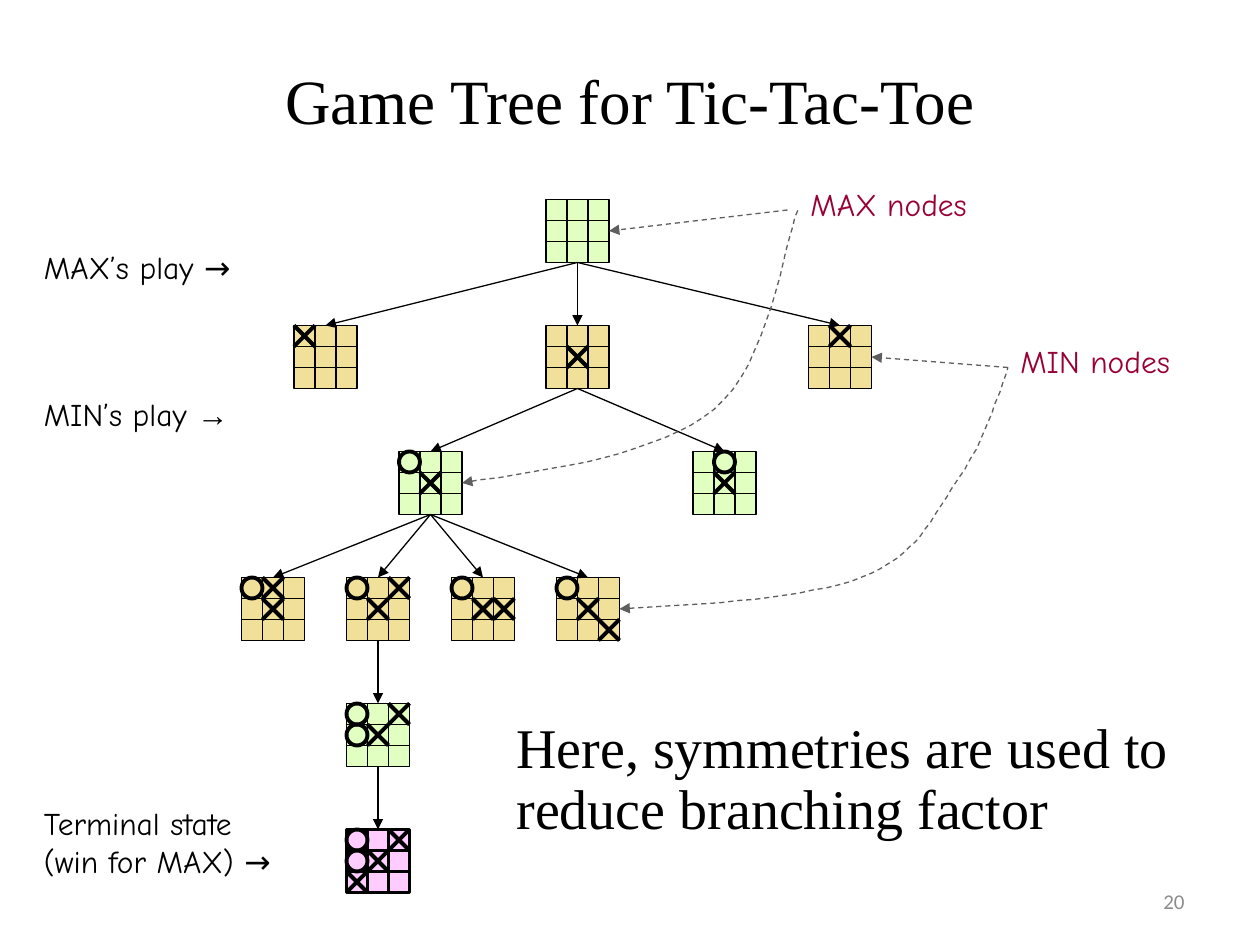
from dataclasses import dataclass

from lxml.etree import SubElement
from pptx import Presentation
from pptx.dml.color import RGBColor
from pptx.enum.dml import MSO_LINE
from pptx.enum.shapes import MSO_CONNECTOR, MSO_SHAPE
from pptx.enum.text import MSO_ANCHOR, MSO_AUTO_SIZE, PP_ALIGN
from pptx.oxml.ns import qn
from pptx.util import Pt

PX = 7620
CELL = 20
SIDE = 3 * CELL


@dataclass(frozen=True)
class Theme:
    """Colours, fonts and sizes of the slide."""
    ink: str = "000000"
    max: str = "E0FFC1"
    min: str = "F0E09A"
    win: str = "FFCCFF"
    tag: str = "990033"
    dash: str = "5F5F5F"
    page: str = "8C8C8C"
    serif: str = "Times New Roman"
    hand: str = "Comic Neue"
    sans: str = "Calibri"
    arrow: str = "Arial"
    head: int = 36
    note: int = 32
    label: int = 18
    foot: int = 12
    thin: float = 0.75
    mid: float = 1.5
    bold: float = 2.25


T = Theme()

BOARDS = {
    "won": (330, 790, "win", "O.XOX.X.."),
    "root": (520, 190, "max", "........."),
    "corner": (280, 310, "min", "X........"),
    "edge": (770, 310, "min", ".X......."),
    "centre": (520, 310, "min", "....X...."),
    "left": (380, 430, "max", "O...X...."),
    "right": (660, 430, "max", ".O..X...."),
    "top": (230, 550, "min", "OX..X...."),
    "far": (330, 550, "min", "O.X.X...."),
    "low": (530, 550, "min", "O...X...X"),
    "side": (430, 550, "min", "O...XX..."),
    "reply": (330, 670, "max", "O.XOX...."),
}

MOVES = {
    "root": ("corner", "centre", "edge"),
    "centre": ("left", "right"),
    "left": ("far", "top", "side", "low"),
    "far": ("reply",),
    "reply": ("won",),
}

MIN_PATH = [(590, 580), (678, 575), (767, 570), (820, 550), (874, 530), (887, 493),
            (910, 460), (934, 427), (947, 389), (960, 350)]
MAX_PATH = [(440, 460), (533, 446), (626, 433), (680, 390), (733, 347), (746, 232),
            (760, 200)]


def apply(item, **form):
    """Set each format value on an object."""
    for name, value in form.items():
        setattr(item, name, value)


def emu(*sizes):
    """Turn px lengths into EMU."""
    return [size * PX for size in sizes]


def pen(shape, width=T.thin, tint=T.ink, dash=None, end=None):
    """Draw the outline of a shape, with an arrowhead at one end if named."""
    shape.line.color.rgb = RGBColor.from_string(tint)
    apply(shape.line, width=Pt(width), dash_style=dash)
    frame = shape._element.spPr
    if end:
        SubElement(frame.get_or_add_ln(), qn(f"a:{end}"), type="triangle")
    SubElement(frame, qn("a:effectLst"))


def link(shapes, start, stop, **form):
    """Add a straight line between two points."""
    line = shapes.add_connector(MSO_CONNECTOR.STRAIGHT, *emu(*start, *stop))
    pen(line, **form)


def block(shapes, kind, box, fill, width):
    """Add an outlined preset shape, hollow when there is no fill."""
    shape = shapes.add_shape(kind, *emu(*box))
    pen(shape, width)
    if fill:
        shape.fill.solid()
        shape.fill.fore_color.rgb = RGBColor.from_string(fill)
    else:
        shape.fill.background()


def board(slide, x, y, kind, marks):
    """Draw one position of the game in its square."""
    shapes = slide.shapes.add_group_shape().shapes
    tint = getattr(T, kind)
    width = T.mid if kind == "win" else T.thin
    block(shapes, MSO_SHAPE.RECTANGLE, (x, y, SIDE, SIDE), tint, width)
    for step in (CELL, 2 * CELL):
        link(shapes, (x, y + step), (x + SIDE, y + step), width=width)
        link(shapes, (x + step, y), (x + step, y + SIDE), width=width)
    for spot, mark in enumerate(marks):
        a, b = x + spot % 3 * CELL, y + spot // 3 * CELL
        if mark == "X":
            link(shapes, (a, b), (a + CELL, b + CELL), width=T.bold)
            link(shapes, (a, b + CELL), (a + CELL, b), width=T.bold)
        elif mark == "O":
            fill = None if kind == "max" else tint
            block(shapes, MSO_SHAPE.OVAL, (a, b, CELL, CELL), fill, T.bold)


def tree(slide):
    """Draw all boards and the moves between them."""
    for spec_row in BOARDS.values():
        board(slide, *spec_row)
    for start, stops in MOVES.items():
        x, y = BOARDS[start][:2]
        for stop in stops:
            a, b = BOARDS[stop][:2]
            link(slide.shapes, (x + SIDE // 2, y + SIDE), (a + SIDE // 2, b), end="tailEnd")


def curve(slide, dots):
    """Draw a dashed Bezier path with an arrowhead at its start."""
    steps = 16
    trail = []
    for at in range(0, len(dots) - 1, 3):
        for step in range(1, steps + 1):
            t = step / steps
            rates = ((1 - t) ** 3, 3 * t * (1 - t) ** 2, 3 * t * t * (1 - t), t ** 3)
            trail.append([sum(rate * dot[axis] for rate, dot in zip(rates, dots[at:at + 4]))
                          for axis in (0, 1)])
    path = slide.shapes.build_freeform(*dots[0], scale=PX)
    path.add_line_segments(trail, close=False)
    shape = path.convert_to_shape()
    shape.fill.background()
    pen(shape, tint=T.dash, dash=MSO_LINE.DASH, end="headEnd")


def write(frame, parts, size, tint=T.ink, align=None, space=None):
    """Fill a frame with one paragraph of text and font pairs."""
    para = frame.paragraphs[0]
    apply(para, text="", alignment=align, line_spacing=space)
    for words, face in parts:
        first, *rest = words.split("\n")
        runs = [(first, False)] + [(piece, True) for piece in rest]
        for piece, fresh in runs:
            if fresh:
                para.add_line_break()
            run = para.add_run()
            run.text = piece
            apply(run.font, name=face, size=Pt(size))
            run.font.color.rgb = RGBColor.from_string(tint)


def label(slide, box, parts, size=T.label, wrap=False, anchor=MSO_ANCHOR.TOP, **form):
    """Add a text box."""
    frame = slide.shapes.add_textbox(*emu(*box)).text_frame
    apply(frame, word_wrap=wrap, vertical_anchor=anchor,
          auto_size=MSO_AUTO_SIZE.NONE if wrap else MSO_AUTO_SIZE.SHAPE_TO_FIT_TEXT)
    write(frame, parts, size, **form)


def title(slide, box, words):
    """Place and fill the title."""
    shape = slide.shapes.title
    apply(shape, **dict(zip(("left", "top", "width", "height"), emu(*box))))
    apply(shape.text_frame, vertical_anchor=MSO_ANCHOR.MIDDLE, auto_size=MSO_AUTO_SIZE.NONE)
    write(shape.text_frame, [(words, T.serif)], T.head, align=PP_ALIGN.CENTER)


def legend(slide, box, words, path, start, stop):
    """Name a kind of node and point at two examples."""
    label(slide, box, [(words, T.hand)], tint=T.tag)
    curve(slide, path)
    link(slide.shapes, start, stop, tint=T.dash, dash=MSO_LINE.DASH, end="tailEnd")


def main():
    """Build and save the slide."""
    deck = Presentation()
    apply(deck, slide_width=1200 * PX, slide_height=900 * PX)
    slide = deck.slides.add_slide(deck.slide_layouts[5])
    title(slide, (60, 20, 1080, 150), "Game Tree for Tic-Tac-Toe")
    tree(slide)
    label(slide, (30, 230, 217, 48), [("MAX’s play →", T.hand)])
    label(slide, (30, 370, 214, 48), [("MIN’s play ", T.hand), ("→", T.arrow)])
    label(slide, (30, 760, 263, 84), [("Terminal state\n(win for MAX) →", T.hand)])
    label(slide, (480, 680, 660, 130),
          [("Here, symmetries are used to reduce branching factor", T.serif)],
          T.note, wrap=True, space=0.9)
    legend(slide, (960, 320, 180, 48), "MIN nodes", MIN_PATH, (960, 350), (830, 340))
    legend(slide, (760, 170, 184, 48), "MAX nodes", MAX_PATH, (750, 200), (580, 220))
    label(slide, (860, 834, 280, 48), [("20", T.sans)], T.foot, wrap=True,
          anchor=MSO_ANCHOR.MIDDLE, tint=T.page, align=PP_ALIGN.RIGHT)
    deck.save("out.pptx")


if __name__ == "__main__":
    main()
